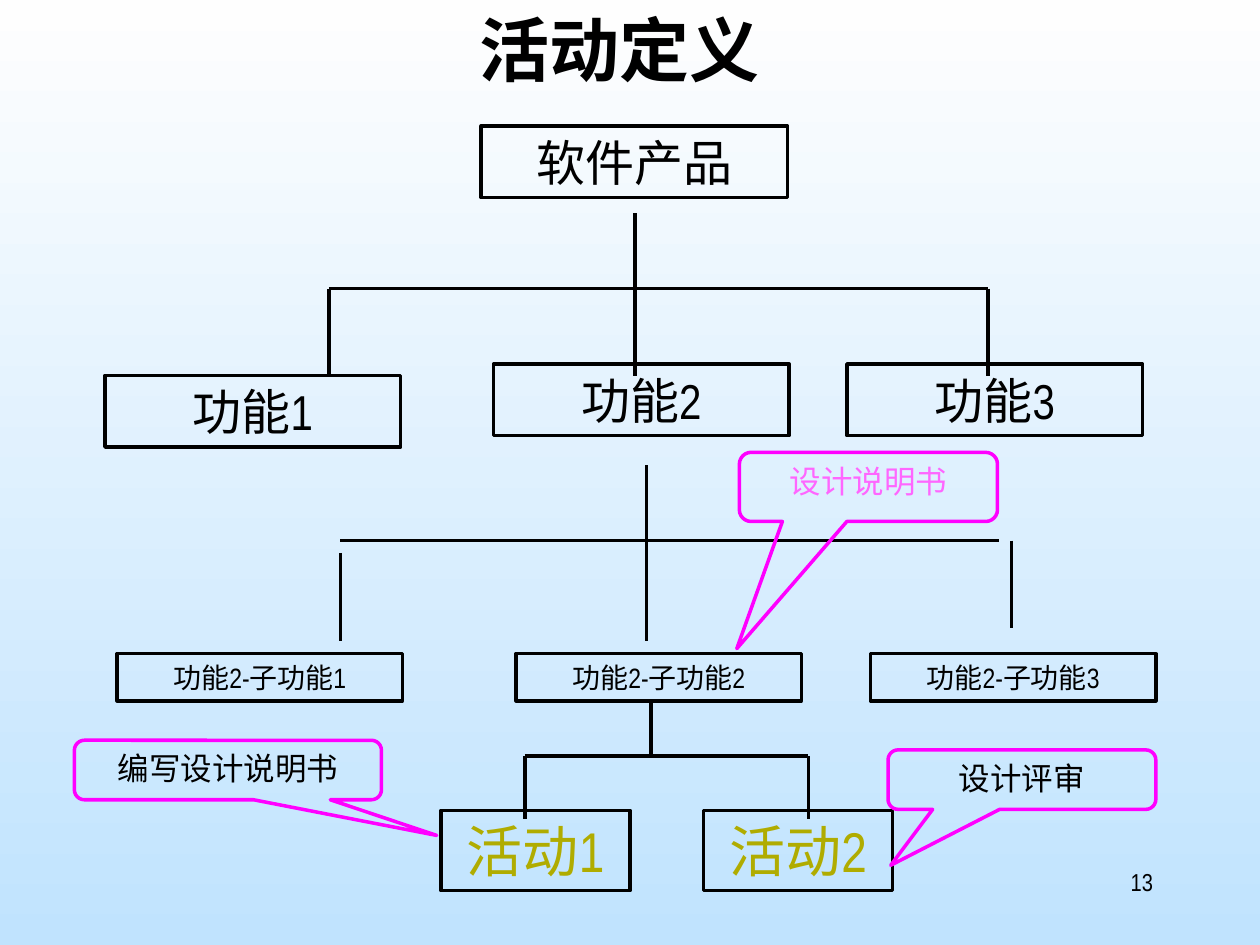
"""Build the activity definition slide: a product breakdown tree with callouts."""
from lxml import etree
from pptx import Presentation
from pptx.dml.color import RGBColor
from pptx.enum.shapes import MSO_CONNECTOR, MSO_SHAPE
from pptx.enum.text import MSO_ANCHOR, PP_ALIGN
from pptx.oxml.ns import qn
from pptx.util import Pt

RECT = MSO_SHAPE.RECTANGLE
CALL = MSO_SHAPE.ROUNDED_RECTANGULAR_CALLOUT
LINE = MSO_CONNECTOR.STRAIGHT
TOP, MID = MSO_ANCHOR.TOP, MSO_ANCHOR.MIDDLE
CENTER, RIGHT = PP_ALIGN.CENTER, PP_ALIGN.RIGHT

HEX = {"ink": "000000", "olive": "B0AC00", "edge": "FF00FF",
       "pink": "FF66FF", "high": "FEFEFE", "low": "C0E3FE"}
LATIN, ASIAN = "Arial Narrow", "Noto Sans CJK SC"

TITLE = ("活动定义", (48, 0, 612, 90))
NUMBER = ("13", (516, 492, 150, 36))

# Each level: width, height, text size, colour, boxes (text, left, top)
LEVELS = [
    (175, 41, 28, "ink", [("软件产品", 275, 72)]),
    (169, 41, 28, "ink", [("功能1", 60, 214.5), ("功能2", 282, 208),
                          ("功能3", 484, 208)]),
    (163, 27, 16, "ink", [("功能2-子功能1", 67, 373.5),
                          ("功能2-子功能2", 295, 373.5),
                          ("功能2-子功能3", 497.5, 373.5)]),
    (108, 46, 32, "olive", [("活动1", 252, 463), ("活动2", 402, 463)]),
]
TREES = [
    {"bar": (188, 564.5, 165),
     "drops": [(188, 165, 215), (363, 122, 215), (564.5, 165, 215)]},
    {"bar": (194.5, 571, 309),
     "drops": [(194.5, 316, 366.5), (369.5, 266, 366.5), (578, 309, 359)]},
    {"bar": (300, 462, 432),
     "drops": [(300, 432, 468), (372, 402, 432), (462, 432, 468)]},
]
CALLS = [
    ("设计说明书", (422.5, 258.5, 147.5, 39.5), (-0.51, 2.34, 0.17), "pink"),
    ("编写设计说明书", (42.5, 423, 175.5, 34), (0.68, 1.1, 0.17), "ink"),
    ("设计评审", (507.5, 428.5, 153, 34), (-0.49, 1.44, 0.17), "ink"),
]


def tint(name):
    return RGBColor.from_string(HEX[name])


def write(shape, text, size, color="ink", align=CENTER, anchor=TOP,
          face=LATIN, bold=False):
    frame = shape.text_frame
    frame.word_wrap = True
    frame.vertical_anchor = anchor
    para = frame.paragraphs[0]
    para.alignment = align
    run = para.add_run()
    run.text = text
    font = run.font
    font.size, font.bold, font.name = Pt(size), bold, face
    font.color.rgb = tint(color)
    east = etree.SubElement(font._element, qn("a:ea"))
    east.set("typeface", ASIAN)


def box(shapes, kind, spot, edge):
    shape = shapes.add_shape(kind, *map(Pt, spot))
    shape.shadow.inherit = False
    shape.fill.background()
    shape.line.color.rgb = tint(edge)
    shape.line.width = Pt(2)
    return shape


def rule(shapes, *ends):
    line = shapes.add_connector(LINE, *map(Pt, ends))
    line.line.color.rgb = tint("ink")
    line.line.width = Pt(2)
    etree.SubElement(line._element.spPr, qn("a:effectLst"))


def main():
    deck = Presentation()
    deck.slide_width, deck.slide_height = Pt(720), Pt(540)
    slide = deck.slides.add_slide(deck.slide_layouts[6])
    shapes = slide.shapes

    fill = slide.background.fill
    fill.gradient()
    fill.gradient_angle = 270
    for stop, name, place in zip(fill.gradient_stops, ("high", "low"), (0, 1)):
        stop.color.rgb = tint(name)
        stop.position = place

    text, spot = TITLE
    write(shapes.add_textbox(*map(Pt, spot)), text, 40, face=ASIAN, bold=True)

    for wide, high, size, color, items in LEVELS:
        for text, left, top in items:
            shape = box(shapes, RECT, (left, top, wide, high), "ink")
            write(shape, text, size, color, anchor=MID)

    for tree in TREES:
        left, right, level = tree["bar"]
        rule(shapes, left, level, right, level)
        for x, top, base in tree["drops"]:
            rule(shapes, x, top, x, base)

    for text, spot, tail, color in CALLS:
        shape = box(shapes, CALL, spot, "edge")
        for i, value in enumerate(tail):
            shape.adjustments[i] = value
        write(shape, text, 18, color)

    text, spot = NUMBER
    write(shapes.add_textbox(*map(Pt, spot)), text, 14, align=RIGHT)
    deck.save("out.pptx")


if __name__ == "__main__":
    main()
